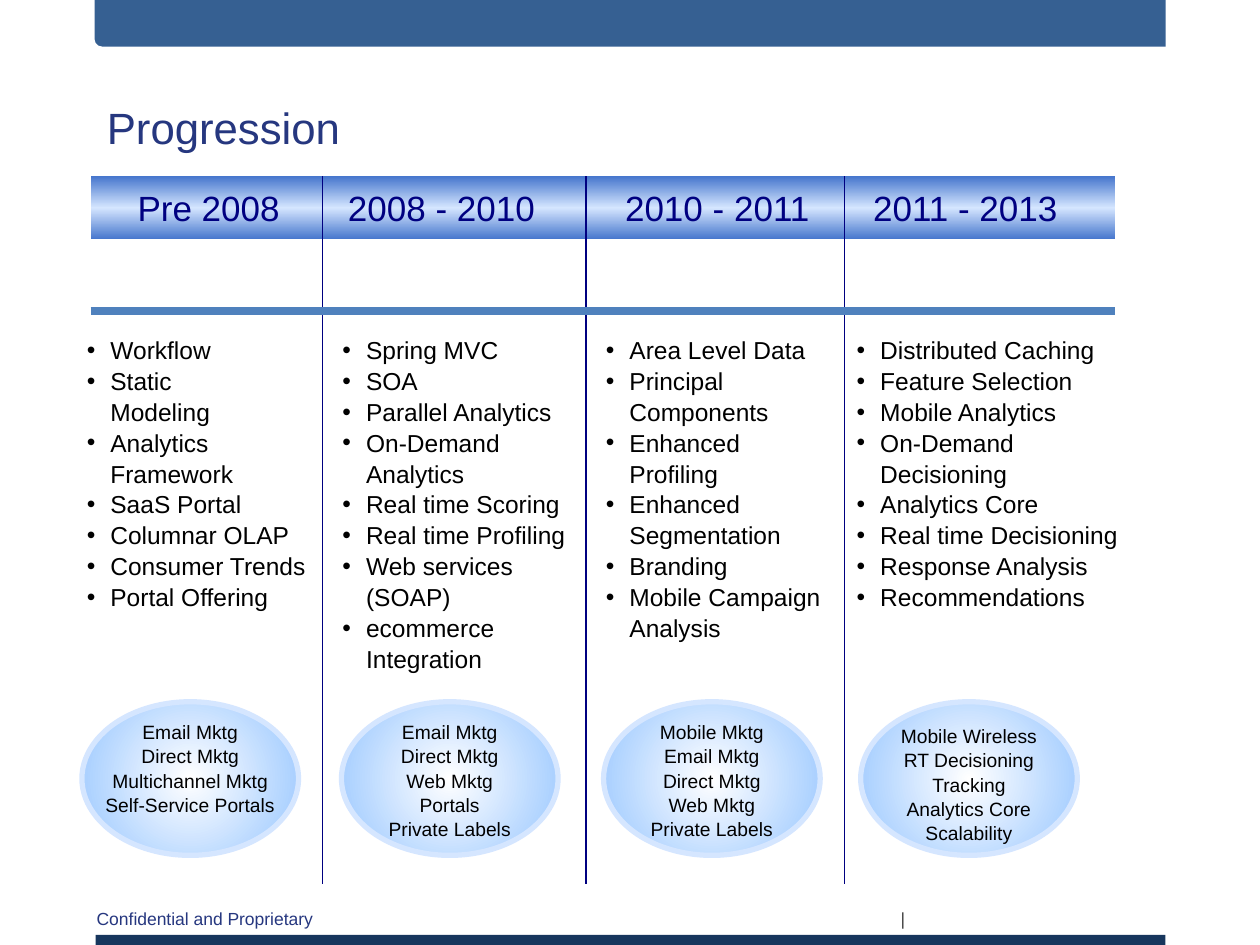
from lxml import etree
from pptx import Presentation
from pptx.dml.color import RGBColor
from pptx.enum.shapes import MSO_CONNECTOR, MSO_SHAPE
from pptx.enum.text import MSO_ANCHOR, PP_ALIGN
from pptx.oxml import parse_xml
from pptx.oxml.ns import qn
from pptx.util import Pt

LINE = MSO_CONNECTOR.STRAIGHT
RECT, ROUND, OVAL = MSO_SHAPE.RECTANGLE, MSO_SHAPE.ROUND_1_RECTANGLE, MSO_SHAPE.OVAL
LEFT, MID = PP_ALIGN.LEFT, PP_ALIGN.CENTER
TOP, CENTER = MSO_ANCHOR.TOP, MSO_ANCHOR.MIDDLE
NS = "http://schemas.openxmlformats.org/drawingml/2006/main"

HUES = {
    "foot": "17365D", "bar": "366092", "title": "26377F", "pipe": "404040",
    "navy": "000080", "rule": "4F81BD", "text": "000000",
    "band": "4676CD", "pale": "D5E6FF", "white": "FFFFFF", "sky": "96C5FF",
}

# head and list: (left, width); oval: left; top: first line of the oval's text
COLS = [
    {"name": "Pre 2008", "head": (60.5, 107.3), "indent": 11,
     "list": (42.5, 140.4), "oval": 46.8, "top": 407.5,
     "items": ["Workflow", "Static\nModeling", "Analytics\nFramework", "SaaS Portal",
               "Columnar OLAP", "Consumer Trends", "Portal Offering"],
     "uses": ["Email Mktg", "Direct Mktg", "Multichannel Mktg", "Self-Service Portals"]},
    {"name": "2008 - 2010", "head": (180.7, 133.2), "indent": 11,
     "list": (188.6, 142.6), "oval": 195.1, "top": 407.5,
     "items": ["Spring MVC", "SOA", "Parallel Analytics", "On-Demand\nAnalytics",
               "Real time Scoring", "Real time Profiling", "Web services\n(SOAP)",
               "ecommerce\nIntegration"],
     "uses": ["Email Mktg", "Direct Mktg", "Web Mktg", "Portals", "Private Labels"]},
    {"name": "2010 - 2011", "head": (339.1, 131.8), "indent": 11,
     "list": (339.1, 141.8), "oval": 344.9, "top": 407.5,
     "items": ["Area Level Data", "Principal\nComponents", "Enhanced\nProfiling",
               "Enhanced\nSegmentation", "Branding", "Mobile Campaign\nAnalysis"],
     "uses": ["Mobile Mktg", "Email Mktg", "Direct Mktg", "Web Mktg", "Private Labels"]},
    {"name": "2011 - 2013", "head": (491.8, 121), "indent": 0,
     "list": (482.4, 164.9), "oval": 491.8, "top": 409.7,
     "items": ["Distributed Caching", "Feature Selection", "Mobile Analytics",
               "On-Demand\nDecisioning", "Analytics Core", "Real time Decisioning",
               "Response Analysis", "Recommendations"],
     "uses": ["Mobile Wireless", "RT Decisioning", "Tracking", "Analytics Core",
              "Scalability"]},
]
SPLITS = [184.3, 334.8, 482.4]
BAND = (51.8, 100.8, 585.4, 36)
OVAL_SIZE = (123.8, 87.8)
USE_W = 112.3
LABELS = [
    ("Confidential and Proprietary", (48.2, 515.5, 139.7, 19.4), 10, "title"),
    ("|", (507.6, 515.5, 23.8, 19.4), 10, "pipe"),
    ("Progression", (54, 54, 612, 33.8), 25, "title"),
]


def hue(name):
    return RGBColor.from_string(HUES[name])


def add_shape(kind, box, fill=None):
    shape = slide.shapes.add_shape(kind, *map(Pt, box))
    shape.shadow.inherit = False
    shape.line.fill.background()
    if fill:
        shape.fill.solid()
        shape.fill.fore_color.rgb = hue(fill)
    return shape


def blend(shape, stops, way):
    """Fill with a gradient of (percent, hue) stops; way is its direction as XML."""
    marks = "".join(f'<a:gs pos="{pos * 1000}"><a:srgbClr val="{HUES[name]}"/></a:gs>'
                    for pos, name in stops)
    fill = parse_xml(f'<a:gradFill xmlns:a="{NS}" rotWithShape="1">'
                     f'<a:gsLst>{marks}</a:gsLst>{way}</a:gradFill>')
    shape.element.spPr.find(qn("a:prstGeom")).addnext(fill)


def add_line(start, end, color, width):
    line = slide.shapes.add_connector(LINE, *map(Pt, start + end))
    line.line.color.rgb = hue(color)
    line.line.width = Pt(width)
    etree.SubElement(line.element.spPr, qn("a:effectLst"))


def add_text(lines, box, size, color="text", align=LEFT, anchor=TOP,
             indent=0, bullet=False, space=1.0):
    frame = slide.shapes.add_textbox(*map(Pt, box)).text_frame
    form = {"word_wrap": True, "vertical_anchor": anchor, "margin_right": 0,
            "margin_left": Pt(7.2) if align == LEFT else 0}
    for key, value in form.items():
        setattr(frame, key, value)
    for i, line in enumerate(lines):
        para = frame.add_paragraph() if i else frame.paragraphs[0]
        para.text = line.replace("\n", "\v")
        para.alignment = align
        para.line_spacing = space
        props = para._p.get_or_add_pPr()
        if indent:
            props.set("marL", str(Pt(indent)))
        if bullet:
            props.set("indent", str(-Pt(indent)))
            etree.SubElement(props, qn("a:buFont")).set("typeface", "Arial")
            etree.SubElement(props, qn("a:buChar")).set("char", "•")
        for run in para.runs:
            for key, value in {"name": "Arial", "size": Pt(size)}.items():
                setattr(run.font, key, value)
            run.font.color.rgb = hue(color)


deck = Presentation()
deck.slide_width, deck.slide_height = Pt(720), Pt(540)
slide = deck.slides.add_slide(deck.slide_layouts[6])

add_shape(RECT, (54.7, 534.2, 611.3, 5.8), "foot")
bar = add_shape(ROUND, (54, 0, 612, 26.6), "bar")
bar.rotation = 180
for text, box, size, color in LABELS:
    add_text([text], box, size, color)

blend(add_shape(RECT, BAND), [(0, "band"), (50, "pale"), (100, "band")],
      '<a:lin ang="5400000" scaled="0"/>')
for x in SPLITS:
    add_line((x, BAND[1]), (x, 505.4), "navy", 0.75)

for col in COLS:
    left, width = col["head"]
    add_text([col["name"]], (left, 103, width, 31.7), 20, "navy",
             anchor=CENTER, indent=col["indent"])
    left, width = col["list"]
    add_text(col["items"], (left, 187.2, width, 194), 14,
             indent=13.5, bullet=True, space=1.05)
    oval = add_shape(OVAL, (col["oval"], 401) + OVAL_SIZE)
    blend(oval, [(0, "white"), (100, "sky")],
          '<a:path path="circle"><a:fillToRect l="50000" t="50000" r="50000" b="50000"/></a:path>')
    oval.line.color.rgb = hue("pale")
    oval.line.width = Pt(3)
    inset = (OVAL_SIZE[0] - USE_W) / 2
    add_text(col["uses"], (col["oval"] + inset, col["top"], USE_W, 74.2), 11,
             align=MID, space=1.05)

add_line((BAND[0], 177.8), (BAND[0] + BAND[2], 177.8), "rule", 4.5)

deck.save("out.pptx")
